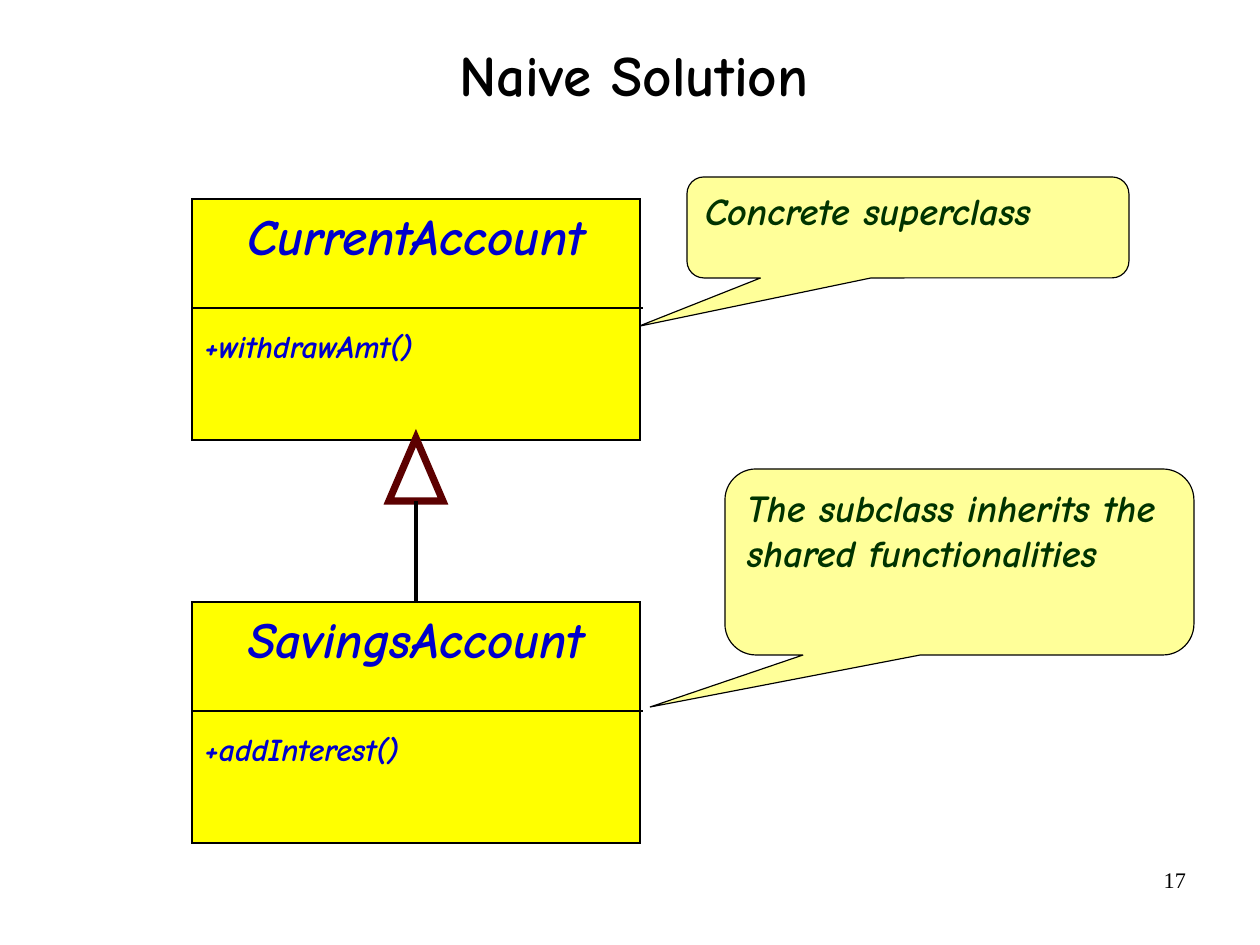
import dataclasses

import pptx
import pptx.dml.color
import pptx.enum.shapes
import pptx.enum.text
import pptx.oxml.ns
import pptx.util
from lxml import etree

PX = 8000  # EMU in one px; the slide is 28 by 21 cm
SHAPE = pptx.enum.shapes.MSO_SHAPE
ALIGN = pptx.enum.text.PP_ALIGN
ANCHOR = pptx.enum.text.MSO_ANCHOR


@dataclasses.dataclass(frozen=True)
class Theme:
    font: str = "Comic Neue"
    serif: str = "Times New Roman"
    black: str = "000000"
    white: str = "FFFFFF"
    box: str = "FFFF00"
    name: str = "0000CC"
    note: str = "FFFF99"
    green: str = "003300"
    head: str = "5C0000"
    title_size: int = 36
    name_size: int = 32
    note_size: int = 24
    part_size: int = 20
    page_size: int = 14
    thin: float = 0.75
    mid: float = 3
    thick: float = 4.5


THEME = Theme()


def px(*nums):
    return [pptx.util.Emu(num * PX) for num in nums]


def tint(code):
    return pptx.dml.color.RGBColor.from_string(code)


def add_run(para, text, size, code, font=THEME.font, bold=True, slant=False):
    run = para.add_run()
    run.text = text
    run.font.name = font
    run.font.size = pptx.util.Pt(size)
    run.font.bold = bold
    run.font.italic = slant
    run.font.color.rgb = tint(code)


def set_frame(frame, side, edge, anchor=ANCHOR.TOP):
    frame.word_wrap = True
    frame.auto_size = pptx.enum.text.MSO_AUTO_SIZE.NONE
    frame.vertical_anchor = anchor
    frame.margin_left = frame.margin_right = px(side)[0]
    frame.margin_top = frame.margin_bottom = px(edge)[0]


def set_line(shape, code, width):
    shape.line.color.rgb = tint(code)
    shape.line.width = pptx.util.Pt(width)
    # Sharp corners
    edge = shape._element.spPr.find(pptx.oxml.ns.qn("a:ln"))
    etree.SubElement(edge, pptx.oxml.ns.qn("a:miter"), lim="800000")


def add_shape(slide, kind, rect, fill, edge=THEME.black, width=THEME.thin):
    shape = slide.shapes.add_shape(kind, *px(*rect))
    shape.shadow.inherit = False
    shape.fill.solid()
    shape.fill.fore_color.rgb = tint(fill)
    set_line(shape, edge, width)
    set_frame(shape.text_frame, 13, 6)
    return shape


def add_line(slide, start, end, width):
    kind = pptx.enum.shapes.MSO_CONNECTOR.STRAIGHT
    line = slide.shapes.add_connector(kind, *px(*start, *end))
    set_line(line, THEME.black, width)
    props = line._element.spPr
    etree.SubElement(props, pptx.oxml.ns.qn("a:effectLst"))
    return line


def add_title(slide, text):
    title = slide.shapes.title
    title.left, title.top, title.width, title.height = px(97, 0, 1074, 157)
    set_frame(title.text_frame, 0, 0, ANCHOR.MIDDLE)
    para = title.text_frame.paragraphs[0]
    para.alignment = ALIGN.CENTER
    para.line_spacing = 0.88
    add_run(para, text, THEME.title_size, THEME.black)


def add_page(slide, text):
    box = slide.shapes.add_textbox(*px(903, 860, 294, 65))
    set_frame(box.text_frame, 11, 6)
    para = box.text_frame.paragraphs[0]
    para.alignment = ALIGN.RIGHT
    add_run(para, text, THEME.page_size, THEME.black, THEME.serif, False)


def add_note(slide, rect, tip, text):
    note = add_shape(slide, SHAPE.ROUNDED_RECTANGULAR_CALLOUT, rect, THEME.note)
    note.adjustments[0], note.adjustments[1] = tip
    para = note.text_frame.paragraphs[0]
    para.alignment = ALIGN.LEFT
    add_run(para, text, THEME.note_size, THEME.green, slant=True)


def add_class(slide, top, name, part):
    box = add_shape(slide, SHAPE.RECTANGLE, (192, top, 448, 241), THEME.box)
    first = box.text_frame.paragraphs[0]
    first.alignment = ALIGN.CENTER
    add_run(first, name, THEME.name_size, THEME.name, slant=True)
    para = box.text_frame.add_paragraph()
    para.alignment = ALIGN.LEFT
    para.space_before = pptx.util.Pt(38)
    add_run(para, part, THEME.part_size, THEME.name, slant=True)
    add_line(slide, (192, top + 109), (643, top + 109), THEME.thin)
    return box


def main():
    deck = pptx.Presentation()
    deck.slide_width, deck.slide_height = px(1260, 945)
    slide = deck.slides.add_slide(deck.slide_layouts[5])
    add_title(slide, "Naive Solution")
    add_page(slide, "17")

    # Notes beside the classes
    add_note(slide, (725, 469, 469, 186), (-0.66, 0.78),
             "The subclass inherits the shared functionalities")
    add_note(slide, (687, 177, 442, 101), (-0.61, 0.98), "Concrete superclass")

    # Classes
    add_class(slide, 199, "CurrentAccount", "+withdrawAmt()")
    child = add_class(slide, 602, "SavingsAccount", "+addInterest()")

    # Arrow from subclass to superclass
    add_shape(slide, SHAPE.ISOSCELES_TRIANGLE, (389, 438, 54, 63),
              THEME.white, THEME.head, THEME.thick)
    stem = add_line(slide, (416, 602), (416, 501), THEME.mid)
    stem.begin_connect(child, 0)

    deck.save("out.pptx")


if __name__ == "__main__":
    main()
